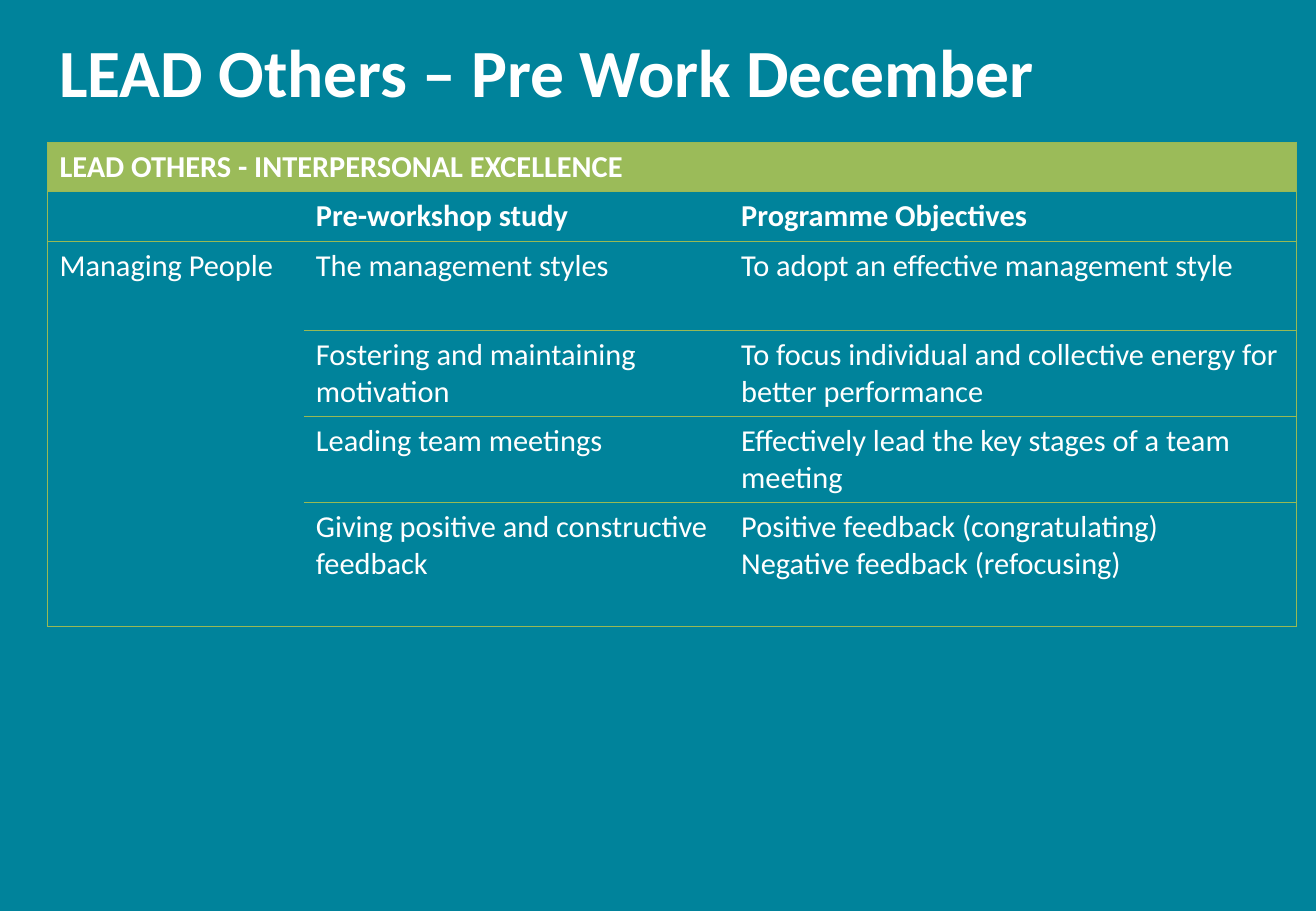
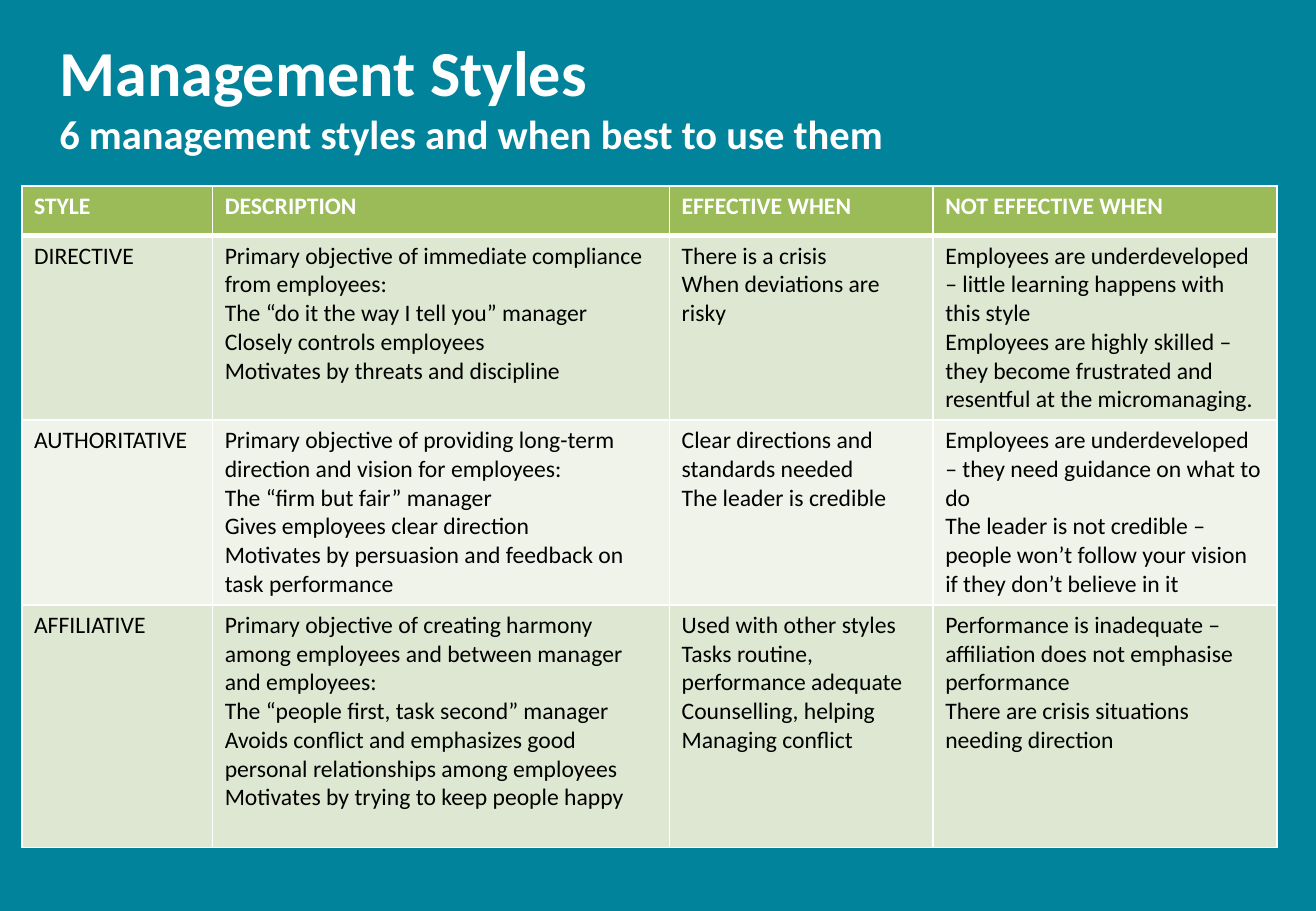
from itertools import accumulate

from lxml.etree import SubElement
from pptx import Presentation
from pptx.dml.color import RGBColor
from pptx.enum.text import MSO_ANCHOR as Anchor
from pptx.oxml.ns import qn
from pptx.util import Inches, Pt

FONT = "Calibri"
TEAL, WHITE, BLACK = "00839B", "FFFFFF", "000000"
GREEN, LINE_GREEN = "9BBB59", "98B955"
BANDS = ["DEE7D1", "EFF3EA"]
PLAIN_TABLE = "{2D5ABB26-0587-4C30-8999-92F81FD0307C}"


def color(value):
    """Turn a hex string into a colour."""
    return RGBColor.from_string(value)


def write(frame, text, size=18, ink=WHITE, bold=False, anchor=Anchor.TOP):
    """Fill a text frame, one paragraph for each line of text."""
    frame.word_wrap = True
    frame.vertical_anchor = anchor
    for index, line in enumerate(text.split("\n")):
        para = frame.add_paragraph() if index else frame.paragraphs[0]
        span = para.add_run()
        span.text = line
        span.font.name = FONT
        span.font.size = Pt(size)
        span.font.bold = bold
        span.font.color.rgb = color(ink)


def paint(cell, fill=None):
    """Fill a cell, or leave it clear."""
    if fill:
        cell.fill.solid()
        cell.fill.fore_color.rgb = color(fill)
    else:
        cell.fill.background()


def outline(cell, ink, widths):
    """Draw cell borders; widths maps the sides L, R, T and B to points."""
    properties = cell._tc.get_or_add_tcPr()
    sides = [side for side in "LRTB" if side in widths]
    for index, side in enumerate(sides):
        line = SubElement(properties, qn(f"a:ln{side}"), w=str(Pt(widths[side])))
        fill = SubElement(line, qn("a:solidFill"))
        SubElement(fill, qn("a:srgbClr"), val=ink)
        properties.insert(index, line)


class Deck:
    """Holds the shared style and the current slide."""

    def __init__(self, width, height):
        """Start a deck with the shared background."""
        self.file = Presentation()
        self.file.slide_width = Inches(width)
        self.file.slide_height = Inches(height)
        background = self.file.slide_master.background.fill
        background.solid()
        background.fore_color.rgb = color(TEAL)
        self.page = None

    def add_page(self, title, size):
        """Add a blank slide with a title."""
        self.page = self.file.slides.add_slide(self.file.slide_layouts[6])
        self.add_text(title, 0.39, 0.2, 8.94, 0.76,
                      size=size, bold=True, anchor=Anchor.MIDDLE)

    def add_text(self, text, left, top, width, height, **style):
        """Add a text box."""
        box = self.page.shapes.add_textbox(
            Inches(left), Inches(top), Inches(width), Inches(height))
        write(box.text_frame, text, **style)

    def add_table(self, left, top, widths, heights):
        """Add an unstyled table with the given columns and rows."""
        frame = self.page.shapes.add_table(
            len(heights), len(widths), Inches(left), Inches(top),
            Inches(sum(widths)), Inches(sum(heights)))
        table = frame.table
        table.first_row = table.horz_banding = False
        table._tbl.tblPr.find(qn("a:tableStyleId")).text = PLAIN_TABLE
        for column, width in zip(table.columns, widths):
            column.width = Inches(width)
        for row, height in zip(table.rows, heights):
            row.height = Inches(height)
        return table


PRE_WORK = [
    ["LEAD OTHERS - INTERPERSONAL EXCELLENCE", "", ""],
    ["", "Pre-workshop study", "Programme Objectives"],
    ["Managing People", "The management styles",
     "To adopt an effective management style"],
    ["", "Fostering and maintaining motivation",
     "To focus individual and collective energy for better performance"],
    ["", "Leading team meetings",
     "Effectively lead the key stages of a team meeting"],
    ["", "Giving positive and constructive feedback",
     "Positive feedback (congratulating)\nNegative feedback (refocusing)"],
]

STYLES = [
    ["STYLE", "DESCRIPTION", "EFFECTIVE WHEN", "NOT EFFECTIVE WHEN"],
    ["DIRECTIVE",
     "Primary objective of immediate compliance from employees:\n"
     "The “do it the way I tell you” manager\n"
     "Closely controls employees\n"
     "Motivates by threats and discipline",
     "There is a crisis\nWhen deviations are risky",
     "Employees are underdeveloped – little learning happens with this style\n"
     "Employees are highly skilled – they become frustrated and resentful "
     "at the micromanaging."],
    ["AUTHORITATIVE",
     "Primary objective of providing long-term direction and vision for employees:\n"
     "The “firm but fair” manager\n"
     "Gives employees clear direction\n"
     "Motivates by persuasion and feedback on task performance",
     "Clear directions and standards needed\nThe leader is credible",
     "Employees are underdeveloped – they need guidance on what to do\n"
     "The leader is not credible – people won’t follow your vision "
     "if they don’t believe in it"],
    ["AFFILIATIVE",
     "Primary objective of creating harmony among employees and between "
     "manager and employees:\n"
     "The “people first, task second” manager\n"
     "Avoids conflict and emphasizes good personal relationships among employees\n"
     "Motivates by trying to keep people happy",
     "Used with other styles\nTasks routine, performance adequate\n"
     "Counselling, helping\nManaging conflict",
     "Performance is inadequate – affiliation does not emphasise performance\n"
     "There are crisis situations needing direction"],
]


def build_pre_work(deck):
    """Build the slide on the work before the workshop."""
    deck.add_page("LEAD Others – Pre Work December", 40)
    table = deck.add_table(0.39, 1.17, [2.11, 3.5, 4.67],
                           [0.41, 0.41, 0.73, 0.71, 0.71, 1.02])
    table.cell(0, 0).merge(table.cell(0, 2))
    table.cell(2, 0).merge(table.cell(5, 0))
    for row, texts in enumerate(PRE_WORK):
        for column, text in enumerate(texts):
            cell = table.cell(row, column)
            if cell.is_spanned:
                continue
            if text:
                write(cell.text_frame, text, bold=row < 2)
            paint(cell, None if row else GREEN)
            sides = "TB"
            if column == 0:
                sides += "L"
            if column == 2 or row == 0:
                sides += "R"
            outline(cell, LINE_GREEN, dict.fromkeys(sides, 0.75))


def build_styles(deck):
    """Build the slide that compares management styles."""
    deck.add_page("Management Styles", 38)
    table = deck.add_table(0.18, 1.53, [1.57, 3.76, 2.17, 2.83],
                           [0.41, 1.52, 1.52, 2])
    for row, texts in enumerate(STYLES):
        header = row == 0
        for column, text in enumerate(texts):
            cell = table.cell(row, column)
            write(cell.text_frame, text, size=14, bold=header,
                  ink=WHITE if header else BLACK)
            paint(cell, GREEN if header else BANDS[(row - 1) % 2])
            widths = dict.fromkeys("LRTB", 1)
            if header:
                widths["B"] = 3
            elif row == 1:
                widths["T"] = 3
            outline(cell, WHITE, widths)
    deck.add_text("6 management styles and when best to use them",
                  0.39, 0.85, 9.04, 0.5, size=24, bold=True)


deck = Deck(10.83, 7.5)
build_pre_work(deck)
build_styles(deck)
deck.file.save("out.pptx")
